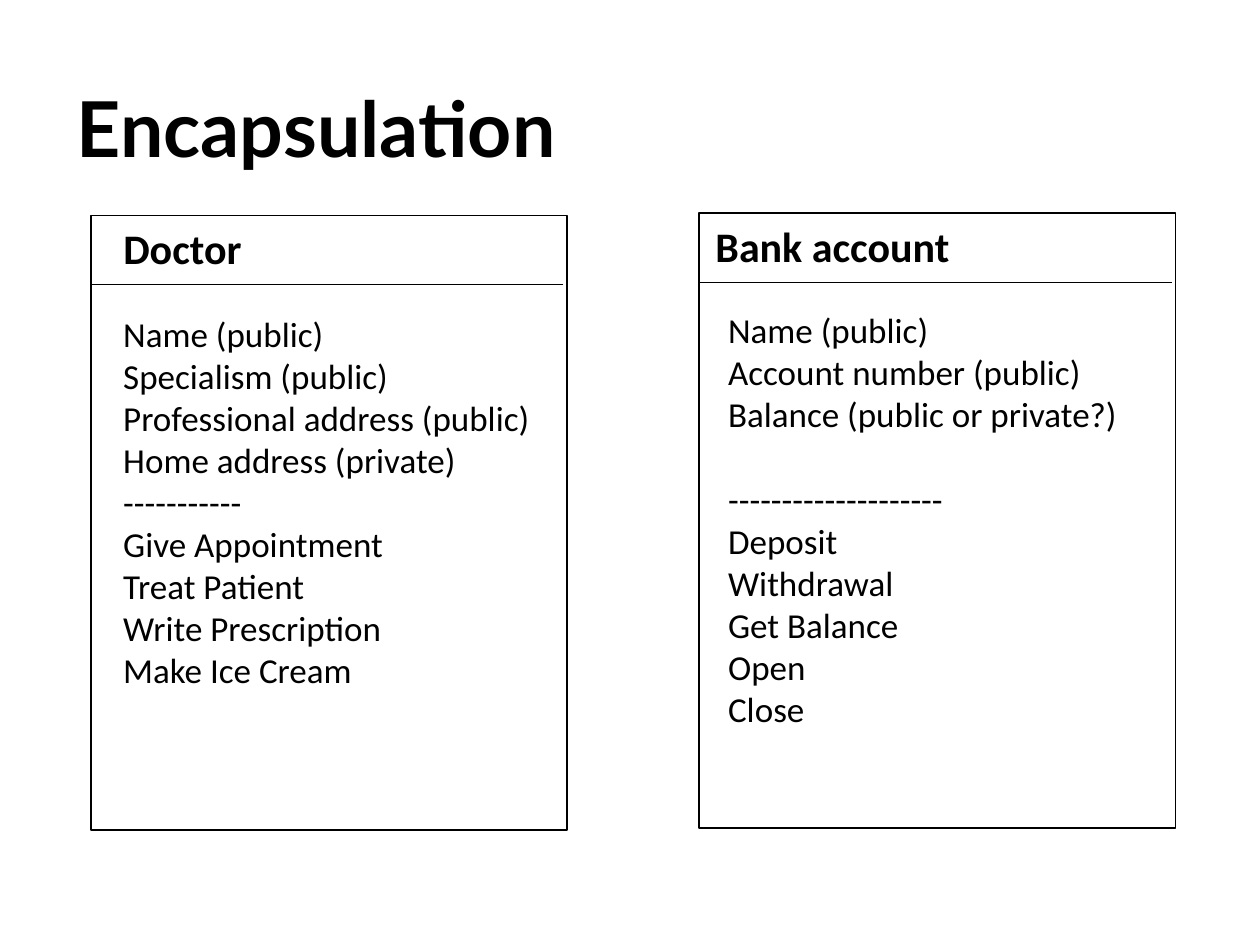
from pptx import Presentation
from pptx.dml.color import RGBColor
from pptx.enum.shapes import MSO_CONNECTOR, MSO_SHAPE
from pptx.enum.text import MSO_ANCHOR, MSO_AUTO_SIZE, PP_ALIGN
from pptx.oxml.ns import qn
from pptx.util import Inches, Pt
from lxml import etree

BLACK = RGBColor(0x00, 0x00, 0x00)
RECTANGLE = MSO_SHAPE.RECTANGLE
STRAIGHT = MSO_CONNECTOR.STRAIGHT
MIDDLE = MSO_ANCHOR.MIDDLE
LEFT = PP_ALIGN.LEFT
NO_FIT, GROW = MSO_AUTO_SIZE.NONE, MSO_AUTO_SIZE.SHAPE_TO_FIT_TEXT

COLUMNS, ROWS = 100, 75
CARD_W, CARD_H = 37.8, 48.8
RULE_W, RULE_Y = 37.5, 5.5
TITLE_LINES = 0.9
BLANK_LINE = 24.4  # points, one line of body text


def write_text(tf, lines, *, font, size, bold=False, spacing=None, gap_before=None):
    """Write one paragraph a line; gap_before is the line that gets a blank line's space above."""
    for i, line in enumerate(lines):
        p = tf.paragraphs[0] if i == 0 else tf.add_paragraph()
        p.alignment = LEFT
        if spacing:
            p.line_spacing = spacing
        if line == gap_before:
            p.space_before = Pt(BLANK_LINE)
        r = p.add_run()
        r.text = line
        r.font.name = font
        r.font.size = Pt(size)
        r.font.bold = bold
        r.font.color.rgb = BLACK


class ClassSlide:
    """Holds the style and the current slide; lengths are grid columns and rows."""

    title_font, body_font = "Lato", "Calibri"
    title_size, heading_size, body_size = 44, 24, 20

    def __init__(self, prs):
        self.col = prs.slide_width / COLUMNS
        self.row = prs.slide_height / ROWS
        self.s = prs.slides.add_slide(prs.slide_layouts[5])

    def box(self, x, y, w, h):
        return (round(x * self.col), round(y * self.row),
                round(w * self.col), round(h * self.row))

    def title(self, text, x, y, w, h):
        sp = self.s.shapes.title
        sp.left, sp.top, sp.width, sp.height = self.box(x, y, w, h)
        tf = sp.text_frame
        tf.auto_size = NO_FIT
        tf.vertical_anchor = MIDDLE
        write_text(tf, [text], font=self.title_font, size=self.title_size,
                   bold=True, spacing=TITLE_LINES)

    def frame(self, shapes, x, y, w, h):
        sp = shapes.add_shape(RECTANGLE, *self.box(x, y, w, h))
        sp.shadow.inherit = False
        sp.fill.background()
        sp.line.color.rgb = BLACK
        sp.line.width = Pt(1)

    def rule(self, shapes, x, y, w):
        left, top, width, _ = self.box(x, y, w, 0)
        line = shapes.add_connector(STRAIGHT, left, top, left + width, top)
        line.line.color.rgb = BLACK
        line.line.width = Pt(0.5)
        etree.SubElement(line._element.spPr, qn("a:effectLst"))

    def text(self, shapes, lines, x, y, w, h, wrap=False, **style):
        tf = shapes.add_textbox(*self.box(x, y, w, h)).text_frame
        tf.word_wrap = wrap
        tf.auto_size = GROW
        write_text(tf, lines, font=self.body_font, **style)

    def card(self, x, y, heading, heading_box, members, members_box,
             wrap_heading=False, gap_before=None):
        """Draw a class box as a group; the text boxes are offset from its corner."""
        shapes = self.s.shapes.add_group_shape().shapes
        self.frame(shapes, x, y, CARD_W, CARD_H)
        self.rule(shapes, x, y + RULE_Y, RULE_W)
        dx, dy, w, h = heading_box
        self.text(shapes, [heading], x + dx, y + dy, w, h, wrap=wrap_heading,
                  size=self.heading_size, bold=True)
        dx, dy, w, h = members_box
        self.text(shapes, members, x + dx, y + dy, w, h,
                  size=self.body_size, gap_before=gap_before)


def main():
    prs = Presentation()
    prs.slide_width, prs.slide_height = Inches(10), Inches(7.5)
    slide = ClassSlide(prs)
    slide.title("Encapsulation", 5.1, 4.3, 90, 12.5)

    divider = "-" * 20
    slide.card(55.5, 16.9, "Bank account", (0.3, 0.1, 25.5, 8.1),
               ["Name (public)", "Account number (public)",
                "Balance (public or private?)", divider, "Deposit",
                "Withdrawal", "Get Balance", "Open", "Close"],
               (1.3, 7.1, 33.2, 37.7), wrap_heading=True, gap_before=divider)
    slide.card(7.2, 17.1, "Doctor", (1.6, 0.1, 11.5, 5),
               ["Name (public)", "Specialism (public)",
                "Professional address (public)", "Home address (private)",
                "-" * 11, "Give Appointment", "Treat Patient",
                "Write Prescription", "Make Ice Cream"],
               (1.6, 7.2, 34.6, 31.3))
    prs.save("out.pptx")


if __name__ == "__main__":
    main()
